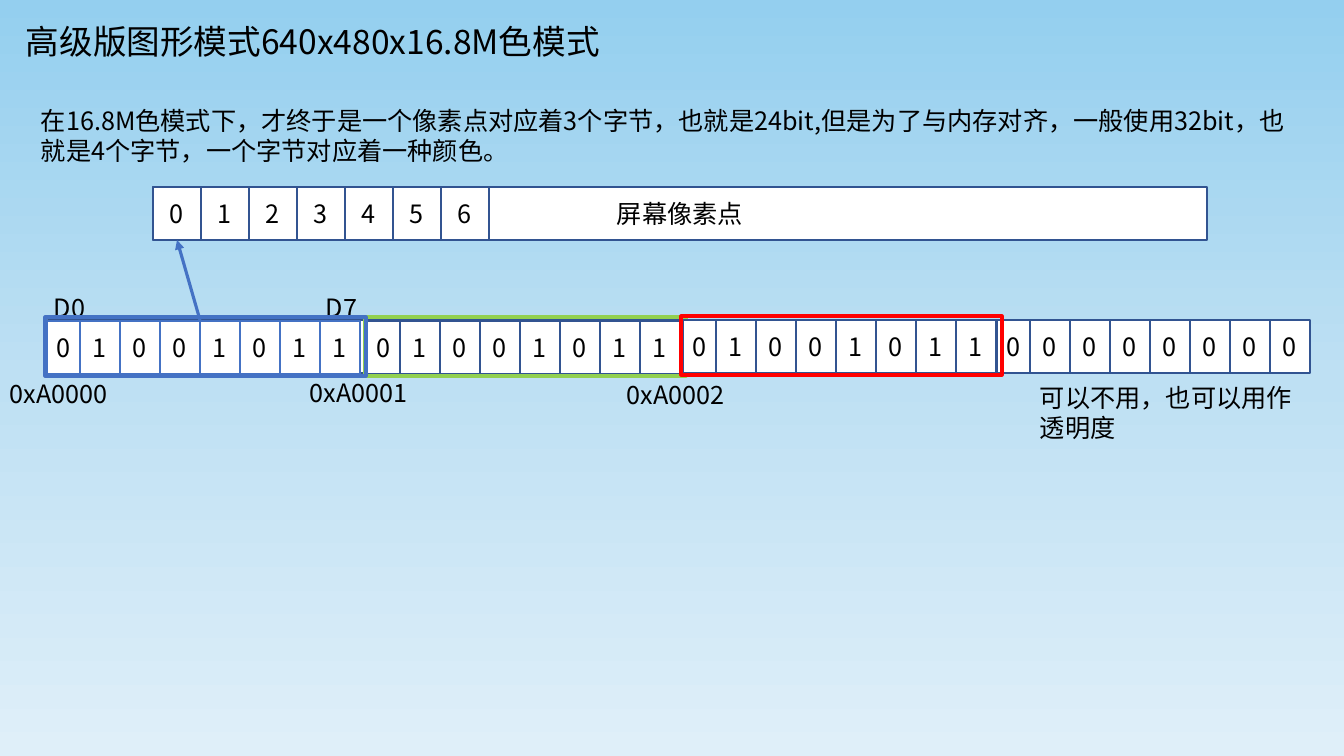
"""Build the slide that maps the bytes of a true-colour screen pixel."""
import copy

import lxml.etree
import pptx
import pptx.dml.color
import pptx.enum.dml
import pptx.enum.shapes
import pptx.enum.text
import pptx.oxml.ns
import pptx.util

RGB = pptx.dml.color.RGBColor
BLACK = RGB(0x00, 0x00, 0x00)
WHITE = RGB(0xFF, 0xFF, 0xFF)
NAVY = RGB(0x32, 0x54, 0x91)
BLUE = RGB(0x44, 0x72, 0xC4)
GREEN = RGB(0x92, 0xD0, 0x50)
RED = RGB(0xFF, 0x00, 0x00)
SKY = [(0, RGB(0x94, 0xCF, 0xEF)), (0.5, RGB(0xBE, 0xE0, 0xF3)), (1, RGB(0xDF, 0xEF, 0xF9))]

FONT = "Noto Sans CJK SC"
EMU_PER_PX = 914400 / 100.8
SLIDE_SIZE = (1344, 756)

TITLE = ("高级版图形模式640x480x16.8M色模式", (16, 16, 649, 50))
LABELS = [
    ("在16.8M色模式下，才终于是一个像素点对应着3个字节，也就是24bit,但是为了与内存对齐，"
     "一般使用32bit，也就是4个字节，一个字节对应着一种颜色。", (31, 100, 1269, 72)),
    ("D0", (44, 287, 70, 40)),
    ("D7", (316, 287, 70, 40)),
    ("0xA0000", (0, 373, 136, 40)),
    ("0xA0001", (300, 372, 136, 40)),
    ("0xA0002", (617, 374, 136, 40)),
    ("可以不用，也可以用作透明度", (1030, 377, 276, 72)),
]
SCREEN = ("屏幕像素点", (153, 187, 1054, 53))
PIXELS = "0123456"
PIXEL_WIDTH = 48
MEMORY = (48, 320, 1253, 53)
BYTES = [
    ("01001011", 367, 321, NAVY, GREEN),
    ("01001011", 47, 321, BLUE, BLUE),
    ("00000000", 997, 320, NAVY, None),
    ("01001011", 683, 320, NAVY, RED),
]
FIRST_BIT_WIDTH = 33
BIT_WIDTH = 40
CELL_HEIGHT = 53
FRAME_SIZE = (321, 59)
FRAME_OFFSET = (2, 4)
ARROW_START = (200, 320)


def emu(lengths):
    return [pptx.util.Emu(round(length * EMU_PER_PX)) for length in lengths]


def write(shape, text, size=18, align=pptx.enum.text.PP_ALIGN.LEFT,
          anchor=pptx.enum.text.MSO_ANCHOR.TOP):
    frame = shape.text_frame
    frame.word_wrap = True
    frame.vertical_anchor = anchor
    para = frame.paragraphs[0]
    para.alignment = align
    span = para.add_run()
    span.text = text
    span.font.size = pptx.util.Pt(size)
    span.font.name = FONT
    span.font.color.rgb = BLACK
    east_asian = lxml.etree.SubElement(span.font._element, pptx.oxml.ns.qn("a:ea"))
    east_asian.set("typeface", FONT)


def add_label(shapes, text, box, size=18):
    label = shapes.add_textbox(*emu(box))
    write(label, text, size=size)
    label.text_frame.auto_size = pptx.enum.text.MSO_AUTO_SIZE.SHAPE_TO_FIT_TEXT


def add_rectangle(shapes, box, line=NAVY, weight=1, filled=True, text=""):
    rectangle = shapes.add_shape(pptx.enum.shapes.MSO_SHAPE.RECTANGLE, *emu(box))
    rectangle.shadow.inherit = False
    if filled:
        rectangle.fill.solid()
        rectangle.fill.fore_color.rgb = WHITE
    else:
        rectangle.fill.background()
    rectangle.line.color.rgb = line
    rectangle.line.width = pptx.util.Pt(weight)
    if text:
        write(rectangle, text, align=pptx.enum.text.PP_ALIGN.CENTER,
              anchor=pptx.enum.text.MSO_ANCHOR.MIDDLE)
    return rectangle


def add_sky(shapes):
    sky = add_rectangle(shapes, (0, 0, *SLIDE_SIZE))
    sky.line.fill.background()
    sky.fill.gradient()
    sky.fill.gradient_angle = 270
    stop_list = sky._element.spPr.find(".//" + pptx.oxml.ns.qn("a:gsLst"))
    stop_list.append(copy.deepcopy(stop_list[-1]))
    for stop, (position, color) in zip(sky.fill.gradient_stops, SKY):
        stop.position = position
        stop.color.rgb = color


def add_byte(shapes, bits, left, top, line, frame):
    group = shapes.add_group_shape()
    for index, bit in enumerate(bits):
        width = BIT_WIDTH if index else FIRST_BIT_WIDTH
        start = left + (FIRST_BIT_WIDTH + (index - 1) * BIT_WIDTH if index else 0)
        add_rectangle(group.shapes, (start, top, width, CELL_HEIGHT), line=line, text=bit)
    if frame:
        corner = (left - FRAME_OFFSET[0], top - FRAME_OFFSET[1])
        add_rectangle(group.shapes, (*corner, *FRAME_SIZE), line=frame, weight=2.25, filled=False)


def add_arrow(shapes, start, target):
    arrow = shapes.add_connector(
        pptx.enum.shapes.MSO_CONNECTOR.STRAIGHT, *emu(start), *emu(start))
    arrow.end_connect(target, 2)
    arrow.line.color.rgb = BLUE
    arrow.line.width = pptx.util.Pt(2.25)
    head = lxml.etree.SubElement(arrow.line._get_or_add_ln(), pptx.oxml.ns.qn("a:tailEnd"))
    head.set("type", "triangle")
    lxml.etree.SubElement(arrow._element.spPr, pptx.oxml.ns.qn("a:effectLst"))


def main():
    deck = pptx.Presentation()
    deck.slide_width, deck.slide_height = emu(SLIDE_SIZE)
    page = deck.slides.add_slide(deck.slide_layouts[6])
    shapes = page.shapes

    add_sky(shapes)
    add_label(shapes, *TITLE, size=24)
    add_rectangle(shapes, MEMORY)
    screen_text, screen_box = SCREEN
    add_rectangle(shapes, screen_box, text=screen_text)
    left, top, _, height = screen_box
    pixels = [
        add_rectangle(shapes, (left + index * PIXEL_WIDTH, top, PIXEL_WIDTH, height), text=digit)
        for index, digit in enumerate(PIXELS)
    ]
    add_arrow(shapes, ARROW_START, pixels[0])
    for text, box in LABELS:
        add_label(shapes, text, box)
    for byte in BYTES:
        add_byte(shapes, *byte)
    deck.save("out.pptx")


if __name__ == "__main__":
    main()
